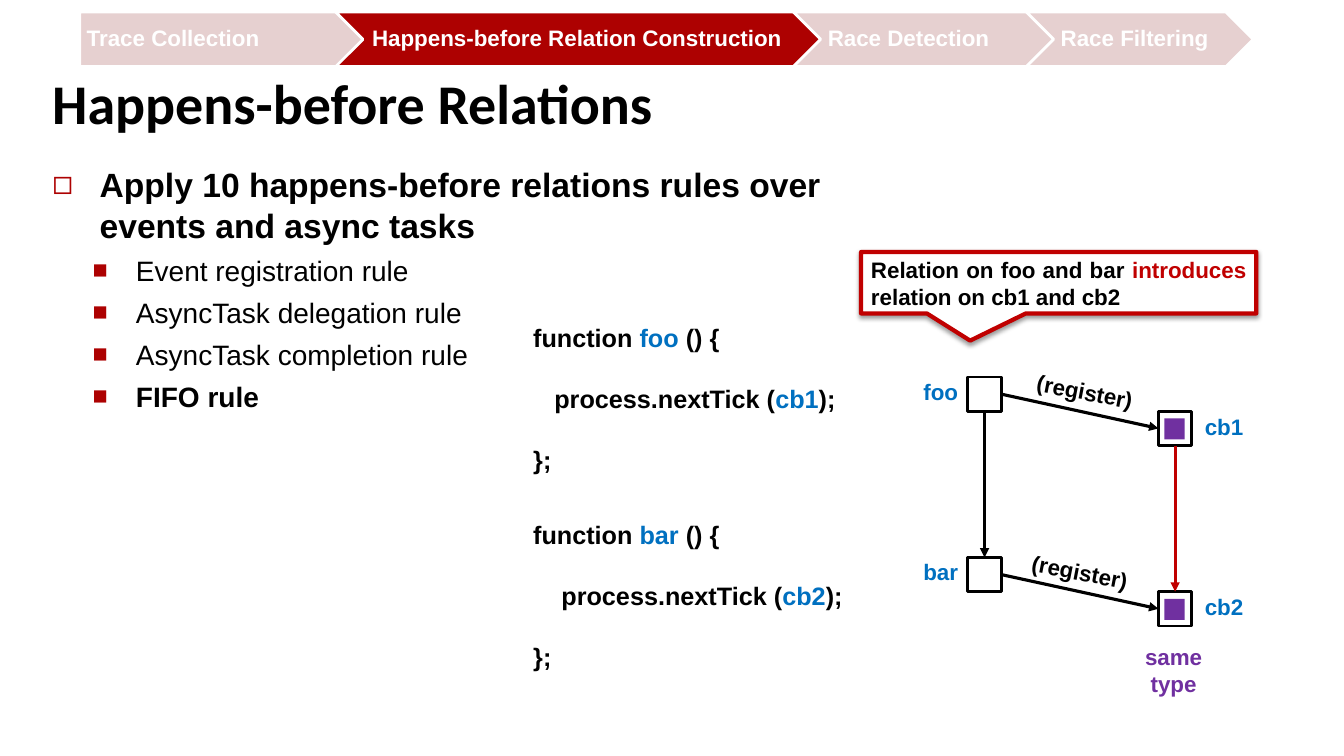
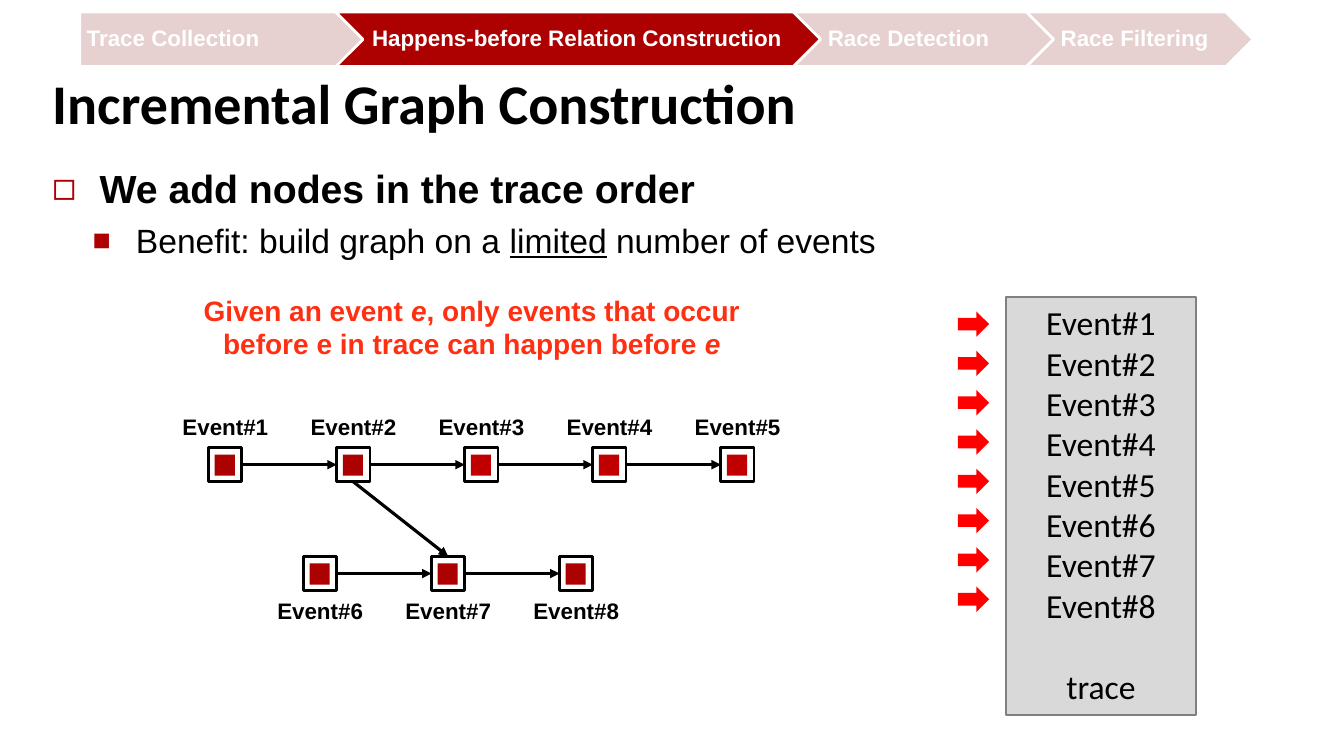
"""Build two slides on happens-before relations and graph construction."""
import pptx
import pptx.dml.color
import pptx.enum.shapes
import pptx.enum.text
import pptx.oxml.ns
import pptx.util
from lxml import etree

PX = 9144
HUES = {
    "black": "000000", "white": "FFFFFF", "brand": "AD0101", "pale": "E6D0D0",
    "red": "C00000", "hot": "FF0000", "note": "FF2F12", "blue": "0070C0",
    "plum": "7030A0", "grey": "D9D9D9", "edge": "808080",
}
STEPS = [
    ("Trace Collection", 79, 379, "pale", 7),
    ("Happens-before Relation Construction", 333, 579, "brand", 9),
    ("Race Detection", 787, 356, "pale", 7),
    ("Race Filtering", 1018, 225, "pale", 7),
]
FORM = pptx.enum.shapes.MSO_SHAPE
ALIGN = pptx.enum.text.PP_ALIGN
ANCHOR = pptx.enum.text.MSO_ANCHOR
TOP, LEFT, BASE, RIGHT = range(4)
NODE_W, NODE_H = 33, 34


def px(*nums):
    return [pptx.util.Emu(round(n * PX)) for n in nums]


def hue(name):
    return pptx.dml.color.RGBColor.from_string(HUES[name])


def add(parent, tag, **attrs):
    return etree.SubElement(parent, pptx.oxml.ns.qn(tag), **attrs)


def style(font, size=None, tone=None, face=None, **flags):
    if size:
        font.size = pptx.util.Pt(size)
    if tone:
        font.color.rgb = hue(tone)
    if face:
        font.name = face
    for flag, value in flags.items():
        setattr(font, flag, value)


def write(para, runs, size, tone="black", face="Arial", bold=True, align=ALIGN.LEFT):
    para.alignment = align
    style(para.font, size, tone, face, bold=bold)
    for part in [runs] if isinstance(runs, str) else runs:
        text, look = (part, {}) if isinstance(part, str) else part
        run = para.add_run()
        run.text = text
        style(run.font, **look)


def paras(frame, count):
    return [frame.paragraphs[0]] + [frame.add_paragraph() for _ in range(count - 1)]


def frame_at(slide, x, y, w, h, wrap=True):
    frame = slide.shapes.add_textbox(*px(x, y, w, h)).text_frame
    frame.word_wrap = wrap
    return frame


def label(slide, text, mid, y, tone="black", turn=0):
    box = slide.shapes.add_textbox(*px(mid - 59, y, 118, 37))
    box.rotation = turn
    box.text_frame.word_wrap = False
    write(box.text_frame.paragraphs[0], text, 16, tone, align=ALIGN.CENTER)


def block(slide, form, x, y, w, h, fill, edge=None, width=2):
    shape = slide.shapes.add_shape(form, *px(x, y, w, h))
    shape.shadow.inherit = False
    shape.fill.solid()
    shape.fill.fore_color.rgb = hue(fill)
    if edge:
        shape.line.color.rgb = hue(edge)
        shape.line.width = pptx.util.Pt(width)
    else:
        shape.line.fill.background()
    return shape


def node(slide, x, y, core=None):
    shape = block(slide, FORM.RECTANGLE, x, y, NODE_W, NODE_H, "white", "black")
    if core:
        block(slide, FORM.RECTANGLE, x + 6, y + 7, 20, 21, core)
    return shape


def link(slide, start, out, end, into, tone="black"):
    line = slide.shapes.add_connector(pptx.enum.shapes.MSO_CONNECTOR.STRAIGHT, 0, 0, 0, 0)
    line.begin_connect(start, out)
    line.end_connect(end, into)
    line.line.color.rgb = hue(tone)
    line.line.width = pptx.util.Pt(2.25)
    props = line._element.spPr
    add(props.find(pptx.oxml.ns.qn("a:ln")), "a:tailEnd", type="triangle")
    add(props, "a:effectLst")


def steps(slide):
    for rank, (text, x, w, fill, inset) in enumerate(STEPS):
        form = FORM.CHEVRON if rank else FORM.PENTAGON
        frame = block(slide, form, x, 12, w, 54, fill, "white").text_frame
        frame.margin_left, frame.margin_right = px(inset, 2)
        frame.vertical_anchor = ANCHOR.MIDDLE
        frame.word_wrap = True
        frame.paragraphs[0].line_spacing = 0.9
        write(frame.paragraphs[0], text, 16, "white")


def bullet(para, mark, margin, hang, scale):
    props = para._p.get_or_add_pPr()
    props.set("marL", str(margin * PX))
    props.set("indent", str(-hang * PX))
    marks = [etree.Element(pptx.oxml.ns.qn(tag)) for tag in
             ("a:buClr", "a:buSzPct", "a:buFont", "a:buChar")]
    add(marks[0], "a:srgbClr", val=HUES["brand"])
    marks[1].set("val", str(scale * 1000))
    marks[2].set("typeface", "Arial")
    marks[3].set("char", mark)
    spot = props.find(pptx.oxml.ns.qn("a:defRPr"))
    for item in marks:
        spot.addprevious(item)


def body(slide, w, h, size, head, points):
    first, *rest = paras(frame_at(slide, 42, 158, w, h), len(points) + 1)
    first.space_before = pptx.util.Pt(8)
    write(first, head, size)
    bullet(first, "◻", 47, 47, 100)
    for para, (runs, bold) in zip(rest, points):
        para.level = 1
        para.space_before = pptx.util.Pt(6)
        write(para, runs, size - 4, bold=bold)
        bullet(para, "■", 83, 43, 90)


def start(deck, title):
    slide = deck.slides.add_slide(deck.slide_layouts[6])
    steps(slide)
    para = frame_at(slide, 42, 65, 1250, 93).paragraphs[0]
    para.line_spacing = pptx.util.Pt(46.7)
    write(para, title, 40, face="Calibri")
    return slide


def code(slide, y, name, call, indent):
    frame = frame_at(slide, 519, y, 335, 170)
    frame.margin_top = 0
    rows = [
        ["function ", (name, {"tone": "blue"}), " () {"],
        ["process.nextTick (", (call, {"tone": "blue"}), ");"],
        ["};"],
    ]
    lines = paras(frame, len(rows))
    for para, runs in zip(lines, rows):
        write(para, runs, 18)
    for para in lines[1:]:
        para.space_before = pptx.util.Pt(22)
    lines[1]._p.get_or_add_pPr().set("marL", str(indent * PX))


def callout(slide):
    shape = block(slide, FORM.RECTANGULAR_CALLOUT, 854, 250, 392, 61, "white", "red", 3)
    shape.adjustments[0], shape.adjustments[1] = -0.224, 0.942
    glow = shape._element.spPr.find(pptx.oxml.ns.qn("a:effectLst"))
    shade = add(glow, "a:outerShdw", blurRad="40000", dist="20000", dir="5400000", rotWithShape="0")
    add(add(shade, "a:srgbClr", val=HUES["black"]), "a:alpha", val="38000")
    frame = shape.text_frame
    frame.word_wrap = True
    frame.vertical_anchor = ANCHOR.MIDDLE
    runs = ["Relation on foo and bar ", ("introduces", {"tone": "red"}), " relation on cb1 and cb2"]
    write(frame.paragraphs[0], runs, 16, align=ALIGN.JUSTIFY)


def rules(deck):
    slide = start(deck, "Happens-before Relations")
    names = ["Event registration rule", "AsyncTask delegation rule",
             "AsyncTask completion rule", "FIFO rule"]
    body(slide, 801, 259, 24, "Apply 10 happens-before relations rules over events and async tasks",
         [(name, name == "FIFO rule") for name in names])
    code(slide, 320, "foo", "cb1", 21)
    code(slide, 515, "bar", "cb2", 28)
    pairs = []
    for name, call, y, mid in [("foo", "cb1", 374, 1076), ("bar", "cb2", 553, 1071)]:
        pair = node(slide, 960, y), node(slide, 1149, y + 34, "plum")
        link(slide, pair[0], RIGHT, pair[1], LEFT)
        label(slide, name, 933, y - 4, "blue")
        label(slide, call, 1214, y + 31, "blue")
        label(slide, "(register)", mid, y - 4, turn=10.9)
        pairs.append(pair)
    for first, last, tone in zip(*pairs, ["black", "red"]):
        link(slide, first, BASE, last, TOP, tone)
    label(slide, "same type", 1164, 633, "plum")
    callout(slide)


def chain(slide, ranks, x, y, text_y, bright=()):
    nodes = []
    for step, rank in enumerate(ranks):
        left = x + 127 * step
        nodes.append(node(slide, left, y, "red" if rank in bright else "brand"))
        label(slide, f"Event#{rank}", left + NODE_W / 2, text_y)
    for first, last in zip(nodes, nodes[1:]):
        link(slide, first, RIGHT, last, LEFT)
    return nodes


def trace(slide):
    frame = block(slide, FORM.RECTANGLE, 998, 295, 188, 414, "grey", "edge", 1.5).text_frame
    frame.vertical_anchor = ANCHOR.TOP
    rows = [f"Event#{rank}" for rank in range(1, 9)] + ["trace"]
    lines = paras(frame, len(rows))
    for para, text in zip(lines, rows):
        write(para, text, 24, face="Calibri", bold=False, align=ALIGN.CENTER)
    lines[-1].space_before = pptx.util.Pt(29)
    for step in range(8):
        block(slide, FORM.RIGHT_ARROW, 950, 309 + 39 * step, 31, 25, "hot")


def graph(deck):
    slide = start(deck, "Incremental Graph Construction")
    point = ["Benefit: build graph on a ", ("limited", {"underline": True}), " number of events"]
    body(slide, 1216, 106, 28, "We add nodes in the trace order", [(point, False)])
    event = ("e", {"italic": True})
    runs = ["Given an event ", event,
            ", only events that occur before e in trace can happen before ", event]
    para = frame_at(slide, 158, 286, 620, 77).paragraphs[0]
    write(para, runs, 20, "note", align=ALIGN.CENTER)
    upper = chain(slide, range(1, 6), 207, 444, 405, (3, 4, 5))
    lower = chain(slide, range(6, 9), 301, 552, 588)
    link(slide, upper[1], BASE, lower[1], TOP)
    trace(slide)


def main():
    deck = pptx.Presentation()
    deck.slide_width, deck.slide_height = px(1333, 750)
    rules(deck)
    graph(deck)
    deck.save("out.pptx")


if __name__ == "__main__":
    main()
